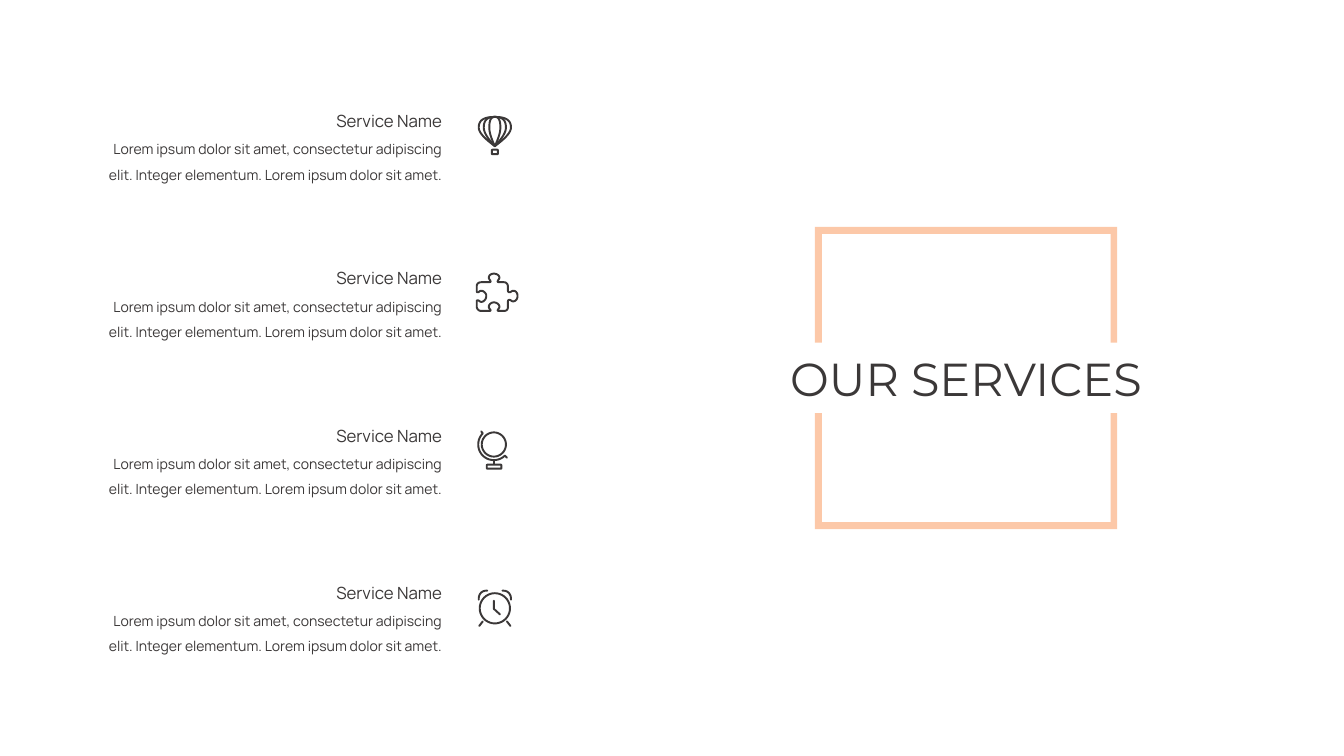
from lxml import etree
from pptx import Presentation
from pptx.dml.color import RGBColor
from pptx.enum.shapes import MSO_SHAPE
from pptx.enum.text import MSO_AUTO_SIZE, PP_ALIGN
from pptx.oxml.ns import qn
from pptx.util import Inches, Pt

RECTANGLE = MSO_SHAPE.RECTANGLE
CENTER, RIGHT = PP_ALIGN.CENTER, PP_ALIGN.RIGHT
GROW = MSO_AUTO_SIZE.SHAPE_TO_FIT_TEXT
COLORS = {"paper": "FFFFFF", "frame": "FCC8A8", "ink": "3B3838"}
CURVE_STEPS = 10

prs = Presentation()
prs.slide_width, prs.slide_height = Inches(26.67), Inches(15)
slide = prs.slides.add_slide(prs.slide_layouts[6])


def add_text(text, left, top, width, height, size, font, align, spacing=None):
    box = slide.shapes.add_textbox(Inches(left), Inches(top), Inches(width), Inches(height))
    frame = box.text_frame
    frame.word_wrap = True
    frame.auto_size = GROW
    paragraph = frame.paragraphs[0]
    paragraph.text = text
    paragraph.alignment = align
    paragraph.line_spacing = spacing
    paragraph.font.size = Pt(size)
    paragraph.font.name = font
    paragraph.font.color.rgb = RGBColor.from_string(COLORS["ink"])


def sample(start, segments):
    """Turn (x, y) lines and (x1, y1, x2, y2, x, y) curves into a list of points."""
    points = [start]
    for segment in segments:
        if len(segment) == 2:
            points.append(segment)
            continue
        x0, y0 = points[-1]
        x1, y1, x2, y2, x3, y3 = segment
        for step in range(1, CURVE_STEPS + 1):
            t = step / CURVE_STEPS
            a, b, c, d = (1 - t) ** 3, 3 * t * (1 - t) ** 2, 3 * t * t * (1 - t), t ** 3
            points.append((a * x0 + b * x1 + c * x2 + d * x3,
                           a * y0 + b * y1 + c * y2 + d * y3))
    return [(Inches(x), Inches(y)) for x, y in points]


# Translucent panel on the right
panel = slide.shapes.add_shape(RECTANGLE, Inches(11.67), 0, Inches(15), Inches(15))
panel.shadow.inherit = False
panel.fill.solid()
panel.fill.fore_color.rgb = RGBColor.from_string(COLORS["paper"])
panel.line.fill.background()
panel_color = panel._element.spPr.find(qn("a:solidFill"))[0]
etree.SubElement(panel_color, qn("a:alpha")).set("val", "70000")

# Square frame, open at both sides of the title
lower, upper = [
    sample((16.17, opening), [
        (16.31, opening), (16.31, inner), (22.04, inner),
        (22.04, opening), (22.17, opening), (22.17, edge), (16.17, edge)])
    for edge, inner, opening in ((10.5, 10.36, 8.2), (4.5, 4.64, 6.8))]
builder = slide.shapes.build_freeform(*lower[0])
builder.add_line_segments(lower[1:])
builder.move_to(*upper[0])
builder.add_line_segments(upper[1:])
title_frame = builder.convert_to_shape()
title_frame.shadow.inherit = False
title_frame.fill.solid()
title_frame.fill.fore_color.rgb = RGBColor.from_string(COLORS["frame"])
title_frame.line.fill.background()
add_text("OUR SERVICES", 13.11, 6.9, 12.12, 1.21, 66, "Montserrat", CENTER)

# Four services at an equal pitch
for row in range(4):
    top = 1.95 + row * 3.12
    add_text("Lorem ipsum dolor sit amet, consectetur adipiscing elit. "
             "Integer elementum. Lorem ipsum dolor sit amet.",
             1.83, top + 0.63, 7.04, 1.11, 20, "Manrope", RIGHT, 1.5)
    add_text("Service Name", 4.81, top, 4.06, 0.71, 24, "Manrope", RIGHT, 1.5)

# Balloon ribs
balloon, globe, clock = [], [], []
for half in (0.32, 0.22, 0.11):
    x = 9.82
    balloon.append(sample((x, 2.32), [
        (x + 0.67 * half, 2.32, x + half, 2.38, x + half, 2.53),
        (x + half, 2.64, x + 0.55 * half, 2.77, x, 2.9),
        (x - 0.55 * half, 2.77, x - half, 2.64, x - half, 2.53),
        (x - half, 2.38, x - 0.67 * half, 2.32, x, 2.32)]))

# Balloon basket and globe base
for icon, left, top, right, bottom in ((balloon, 9.76, 2.97, 9.88, 3.06),
                                       (globe, 9.66, 9.22, 9.95, 9.3)):
    r = 0.03
    icon.append(sample((left + r, top), [
        (right - r, top), (right, top, right, top, right, top + r),
        (right, bottom - r), (right, bottom, right, bottom, right - r, bottom),
        (left + r, bottom), (left, bottom, left, bottom, left, bottom - r),
        (left, top + r), (left, top, left, top, left + r, top)]))

# Puzzle piece, clockwise from its top knob
puzzle = [sample((9.8, 5.43), [
    (9.85, 5.43, 9.91, 5.46, 9.91, 5.51), (9.91, 5.55, 9.83, 5.6, 9.91, 5.6),
    (10, 5.6), (10.05, 5.6, 10.08, 5.64, 10.08, 5.69),
    (10.08, 5.77), (10.08, 5.79, 10.1, 5.8, 10.11, 5.8),
    (10.14, 5.8, 10.15, 5.77, 10.19, 5.77), (10.24, 5.77, 10.27, 5.82, 10.27, 5.87),
    (10.27, 5.94, 10.23, 5.98, 10.18, 5.98), (10.15, 5.98, 10.14, 5.95, 10.11, 5.95),
    (10.09, 5.95, 10.08, 5.96, 10.08, 5.98),
    (10.08, 6.09), (10.08, 6.14, 10.05, 6.17, 10, 6.17),
    (9.91, 6.17), (9.83, 6.17, 9.91, 6.13, 9.91, 6.09),
    (9.91, 6.04, 9.86, 6, 9.8, 6), (9.75, 6, 9.7, 6.04, 9.7, 6.09),
    (9.7, 6.13, 9.78, 6.17, 9.7, 6.17),
    (9.55, 6.17), (9.5, 6.17, 9.46, 6.13, 9.46, 6.08),
    (9.46, 5.98), (9.46, 5.96, 9.47, 5.96, 9.48, 5.96),
    (9.51, 5.96, 9.52, 5.99, 9.55, 5.99), (9.6, 5.99, 9.65, 5.94, 9.65, 5.87),
    (9.65, 5.82, 9.6, 5.77, 9.55, 5.77), (9.51, 5.77, 9.51, 5.8, 9.48, 5.8),
    (9.46, 5.8, 9.46, 5.78, 9.46, 5.77),
    (9.46, 5.68), (9.46, 5.63, 9.5, 5.6, 9.55, 5.6),
    (9.7, 5.6), (9.78, 5.6, 9.7, 5.55, 9.7, 5.51),
    (9.7, 5.46, 9.75, 5.43, 9.8, 5.43)])]

# Globe ball and clock face
for icon, x, y, r in ((globe, 9.8, 8.82, 0.24), (clock, 9.82, 12.07, 0.3)):
    k = 0.55 * r
    icon.append(sample((x, y - r), [
        (x + k, y - r, x + r, y - k, x + r, y),
        (x + r, y + k, x + k, y + r, x, y + r),
        (x - k, y + r, x - r, y + k, x - r, y),
        (x - r, y - k, x - k, y - r, x, y - r)]))

# Globe arm and stem
globe.append(sample((9.55, 8.56), [
    (9.58, 8.6), (9.46, 8.72, 9.46, 8.92, 9.58, 9.04),
    (9.7, 9.16, 9.9, 9.16, 10.02, 9.04), (10.06, 9.08)]))
globe.append(sample((9.8, 9.13), [(9.8, 9.2)]))

# Clock hands, then bells and legs on both sides
clock.append(sample((9.8, 11.92), [(9.8, 12.08), (9.92, 12.19)]))
for side in (-1, 1):
    x = 9.82
    far = x + side * 0.32
    clock.append(sample((x + side * 0.15, 11.72), [
        (x + side * 0.17, 11.72),
        (x + side * 0.26, 11.72, far, 11.79, far, 11.88), (far, 11.9)]))
    clock.append(sample((x + side * 0.24, 12.33), [(x + side * 0.31, 12.42)]))

# One outline shape per icon, with round ends and joins
for strokes in (globe, balloon, puzzle, clock):
    builder = slide.shapes.build_freeform(*strokes[0][0])
    for points in strokes:
        if points is not strokes[0]:
            builder.move_to(*points[0])
        builder.add_line_segments(points[1:], close=points[0] == points[-1])
    icon = builder.convert_to_shape()
    icon.shadow.inherit = False
    icon.fill.background()
    icon.line.color.rgb = RGBColor.from_string(COLORS["ink"])
    icon.line.width = Pt(2.75)
    outline = icon._element.spPr.find(qn("a:ln"))
    outline.set("cap", "rnd")
    etree.SubElement(outline, qn("a:round"))

prs.save("out.pptx")
